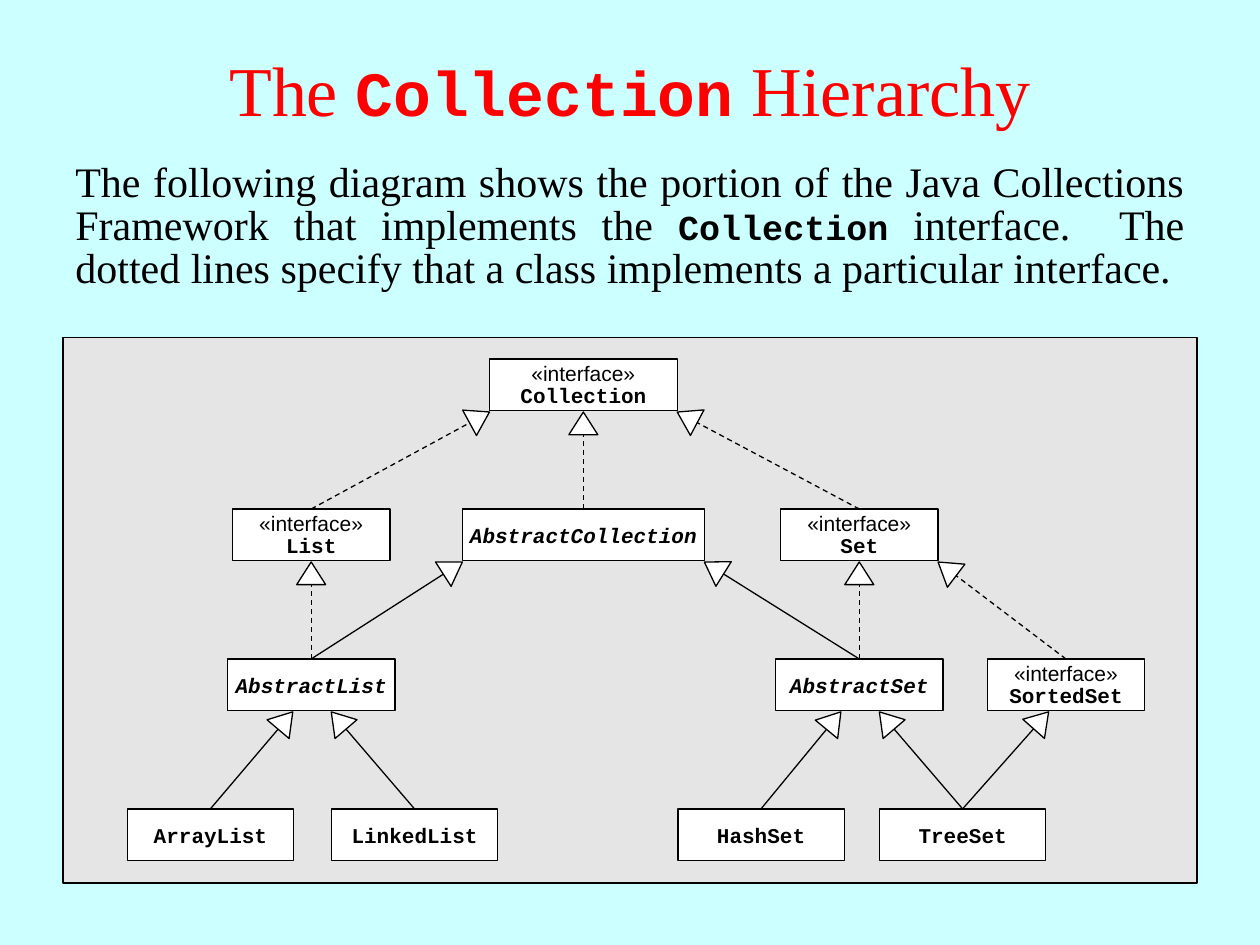
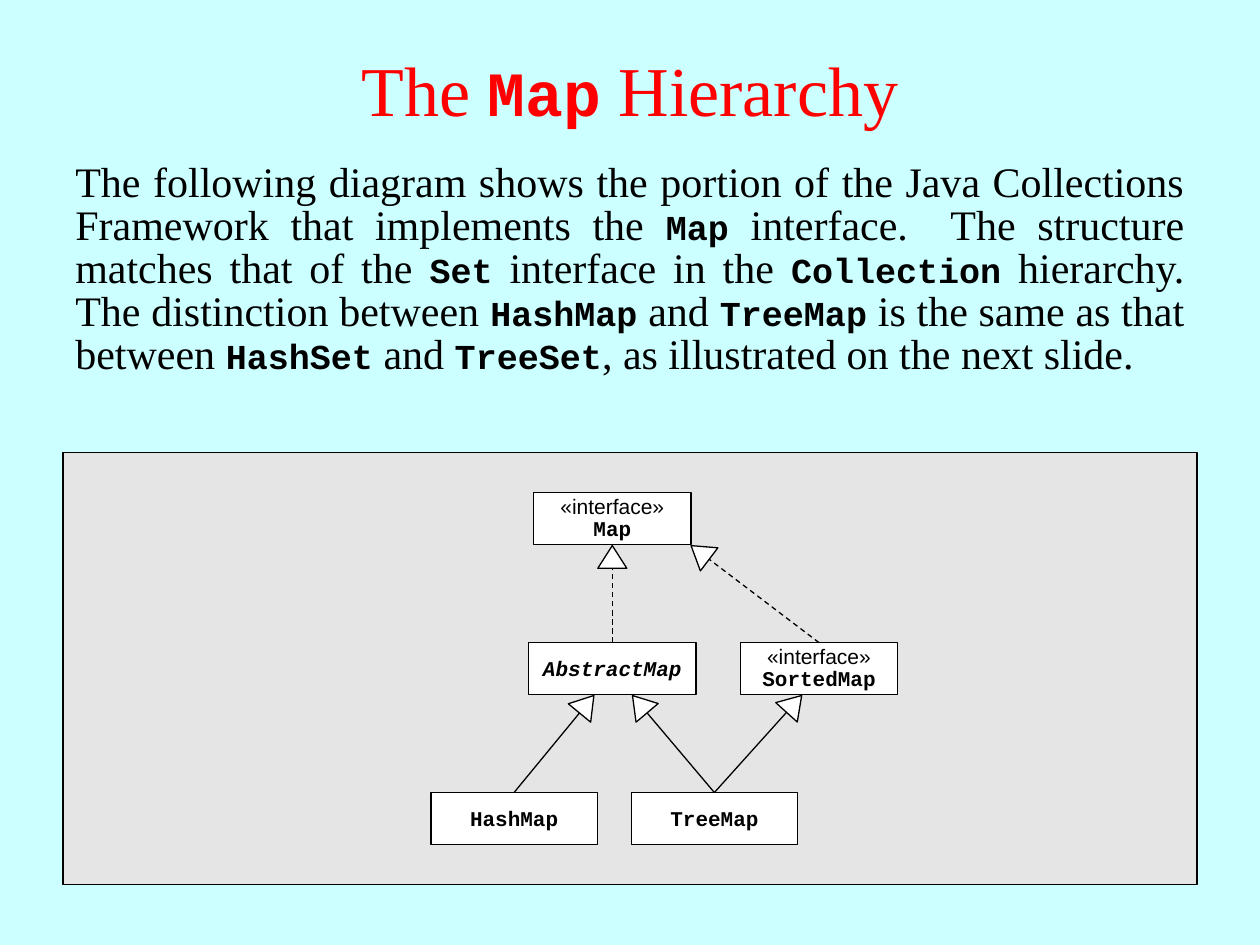
import math

from lxml import etree
from pptx import Presentation, util as u
from pptx.dml import color
from pptx.enum import dml, shapes, text
from pptx.oxml import ns

COLUMNS, ROWS = 100, 75
SERIF, SANS, CODE = "Times New Roman", "Arial", "Courier New"
SKY, RED, BLACK, WHITE, GREY = "CCFFFF", "FF0000", "000000", "FFFFFF", "E5E5E5"

BOX_HEIGHT, LEVEL_PITCH = 4.1, 11.9
BOX_WIDTHS = {"interface": 12.5, "abstract": 13.3, "class": 13.2}
HEAD_WIDTH, HEAD_HEIGHT = 2.3, 1.8

# Where an arrow meets the lower side of its parent, as a share of the width
LEFT, INNER_LEFT, MIDDLE, INNER_RIGHT, RIGHT = 0, 0.39, 0.5, 0.62, 1


def rgb(value):
    return color.RGBColor.from_string(value)


class HierarchyDeck:
    """Holds the shared style and the slide being built."""

    def __init__(self):
        self.presentation = Presentation()
        self.presentation.slide_width = u.Inches(10)
        self.presentation.slide_height = u.Inches(7.5)
        self.column = self.presentation.slide_width / COLUMNS
        self.row = self.presentation.slide_height / ROWS
        background = self.presentation.slide_master.background.fill
        background.solid()
        background.fore_color.rgb = rgb(SKY)

    def grid(self, *lengths):
        """Turn alternating column and row counts into slide units."""
        return [round(length * unit)
                for length, unit in zip(lengths, [self.column, self.row] * 2)]

    def format_run(self, run, size, font, colour=BLACK, bold=False, italic=False):
        run.font.size = u.Pt(size)
        run.font.name = font
        run.font.color.rgb = rgb(colour)
        run.font.bold = bold
        run.font.italic = italic

    def write_mixed(self, paragraph, wording, size, colour=BLACK):
        """Write serif text in which words between backticks are code."""
        for index, part in enumerate(wording.split("`")):
            run = paragraph.add_run()
            run.text = part
            if index % 2:
                self.format_run(run, size - 4, CODE, colour, bold=True)
            else:
                self.format_run(run, size, SERIF, colour)

    def new_slide(self, title):
        layout = self.presentation.slide_layouts.get_by_name("Title Only")
        self.slide = self.presentation.slides.add_slide(layout)
        shape = self.slide.shapes.title
        shape.left, shape.top, shape.width, shape.height = self.grid(0, 0.8, 100, 12.5)
        shape.text_frame.vertical_anchor = text.MSO_ANCHOR.MIDDLE
        paragraph = shape.text_frame.paragraphs[0]
        paragraph.alignment = text.PP_ALIGN.CENTER
        self.write_mixed(paragraph, title, 40, RED)

    def introduction(self, wording, height):
        frame = self.slide.shapes.add_textbox(*self.grid(5, 12.5, 90, height)).text_frame
        frame.word_wrap = True
        frame.auto_size = text.MSO_AUTO_SIZE.SHAPE_TO_FIT_TEXT
        paragraph = frame.paragraphs[0]
        paragraph.alignment = text.PP_ALIGN.JUSTIFY
        paragraph.line_spacing = 0.85
        self.write_mixed(paragraph, wording, 24)

    def outlined(self, kind, left, top, width, height, fill=WHITE):
        shape = self.slide.shapes.add_shape(kind, *self.grid(left, top, width, height))
        shape.shadow.inherit = False
        shape.fill.solid()
        shape.fill.fore_color.rgb = rgb(fill)
        shape.line.color.rgb = rgb(BLACK)
        shape.line.width = u.Pt(0.75)
        return shape

    def panel(self, top, height):
        self.outlined(shapes.MSO_SHAPE.RECTANGLE, 5, top, 90, height, GREY)

    def type_box(self, name, kind, centre, top, width):
        shape = self.outlined(shapes.MSO_SHAPE.RECTANGLE, centre - width / 2, top,
                              width, BOX_HEIGHT)
        frame = shape.text_frame
        frame.word_wrap = False
        frame.vertical_anchor = text.MSO_ANCHOR.MIDDLE
        frame.text = f"«interface»\n{name}" if kind == "interface" else name
        for paragraph in frame.paragraphs:
            paragraph.alignment = text.PP_ALIGN.CENTER
        name_paragraph = frame.paragraphs[-1]
        self.format_run(name_paragraph.runs[0], 12, CODE, bold=True,
                        italic=kind == "abstract")
        if kind == "interface":
            frame.paragraphs[0].line_spacing = 0.95
            name_paragraph.line_spacing = 0.85
            self.format_run(frame.paragraphs[0].runs[0], 12, SANS)
        return shape

    def arrow(self, child, parent, share, dashed):
        """Draw a line from the child's top to a hollow head below the parent."""
        start_x = (child.left + child.width / 2) / self.column
        start_y = child.top / self.row
        tip_x = (parent.left + parent.width * share) / self.column
        tip_y = (parent.top + parent.height) / self.row + 0.1
        angle = math.atan2(tip_x - start_x, start_y - tip_y)
        across, down = math.sin(angle) * HEAD_HEIGHT, math.cos(angle) * HEAD_HEIGHT

        line = self.slide.shapes.add_connector(
            shapes.MSO_CONNECTOR.STRAIGHT,
            *self.grid(start_x, start_y, tip_x - across, tip_y + down))
        line.begin_connect(child, 0)
        line.line.color.rgb = rgb(BLACK)
        line.line.width = u.Pt(0.75)
        if dashed:
            line.line.dash_style = dml.MSO_LINE.DASH
        etree.SubElement(line._element.spPr, ns.qn("a:effectLst"))

        head = self.outlined(shapes.MSO_SHAPE.ISOSCELES_TRIANGLE,
                             tip_x - across / 2 - HEAD_WIDTH / 2,
                             tip_y + down / 2 - HEAD_HEIGHT / 2,
                             HEAD_WIDTH, HEAD_HEIGHT)
        head.rotation = math.degrees(angle)

    def hierarchy(self, first_top, types, relations):
        """Types are (name, kind, level, centre[, width]);
        relations are (child, parent, share, dashed)."""
        boxes = {}
        for name, kind, level, centre, *width in types:
            boxes[name] = self.type_box(name, kind, centre, first_top + level * LEVEL_PITCH,
                                        width[0] if width else BOX_WIDTHS[kind])
        for child, parent, share, dashed in relations:
            self.arrow(boxes[child], boxes[parent], share, dashed)


def collection_slide(deck):
    deck.new_slide("The `Collection` Hierarchy")
    deck.panel(26.8, 43.3)
    deck.hierarchy(28.5, [
        ("Collection", "interface", 0, 46.3, 14.9),
        ("List", "interface", 1, 24.7),
        ("AbstractCollection", "abstract", 1, 46.3, 19.2),
        ("Set", "interface", 1, 68.2),
        ("AbstractList", "abstract", 2, 24.7),
        ("AbstractSet", "abstract", 2, 68.2),
        ("SortedSet", "interface", 2, 84.6),
        ("ArrayList", "class", 3, 16.7),
        ("LinkedList", "class", 3, 32.9),
        ("HashSet", "class", 3, 60.4),
        ("TreeSet", "class", 3, 76.4),
    ], [
        ("List", "Collection", LEFT, True),
        ("AbstractCollection", "Collection", MIDDLE, True),
        ("Set", "Collection", RIGHT, True),
        ("AbstractList", "List", MIDDLE, True),
        ("AbstractList", "AbstractCollection", LEFT, False),
        ("AbstractSet", "AbstractCollection", RIGHT, False),
        ("AbstractSet", "Set", MIDDLE, True),
        ("SortedSet", "Set", RIGHT, True),
        ("ArrayList", "AbstractList", INNER_LEFT, False),
        ("LinkedList", "AbstractList", INNER_RIGHT, False),
        ("HashSet", "AbstractSet", INNER_LEFT, False),
        ("TreeSet", "AbstractSet", INNER_RIGHT, False),
        ("TreeSet", "SortedSet", INNER_LEFT, False),
    ])
    deck.introduction(
        "The following diagram shows the portion of the Java Collections Framework that "
        "implements the `Collection` interface.  The dotted lines specify that a class "
        "implements a particular interface.", 11.2)


def map_slide(deck):
    deck.new_slide("The `Map` Hierarchy")
    deck.panel(35.9, 34.3)
    deck.hierarchy(39.1, [
        ("Map", "interface", 0, 48.6),
        ("AbstractMap", "abstract", 1, 48.6),
        ("SortedMap", "interface", 1, 65),
        ("HashMap", "class", 2, 40.8),
        ("TreeMap", "class", 2, 56.7),
    ], [
        ("AbstractMap", "Map", MIDDLE, True),
        ("SortedMap", "Map", RIGHT, True),
        ("HashMap", "AbstractMap", INNER_LEFT, False),
        ("TreeMap", "AbstractMap", INNER_RIGHT, False),
        ("TreeMap", "SortedMap", INNER_LEFT, False),
    ])
    deck.introduction(
        "The following diagram shows the portion of the Java Collections Framework that "
        "implements the `Map` interface.  The structure matches that of the `Set` interface "
        "in the `Collection` hierarchy. The distinction between `HashMap` and `TreeMap` is "
        "the same as that between `HashSet` and `TreeSet`, as illustrated on the next slide.",
        18)


def main():
    deck = HierarchyDeck()
    collection_slide(deck)
    map_slide(deck)
    deck.presentation.save("out.pptx")


if __name__ == "__main__":
    main()
